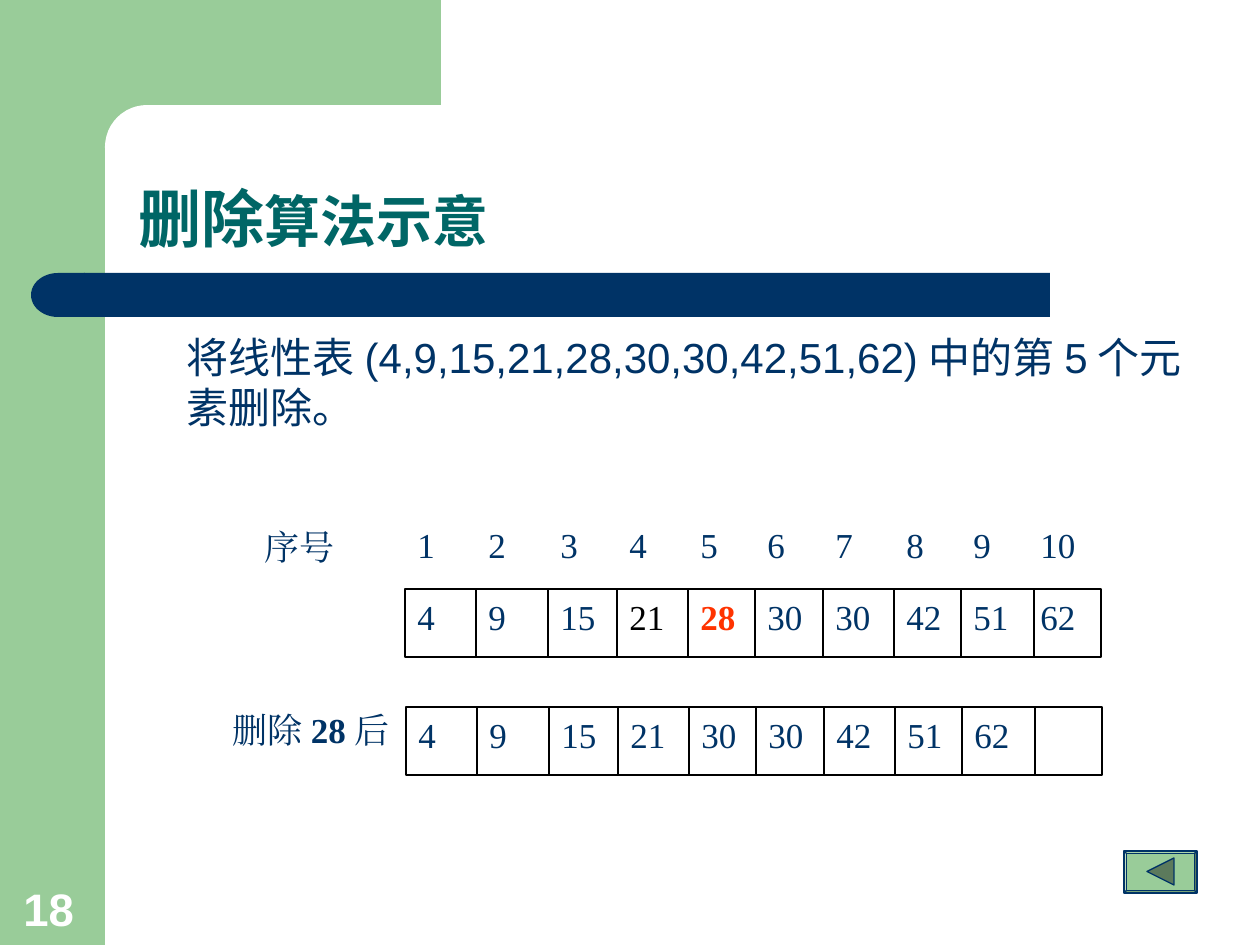
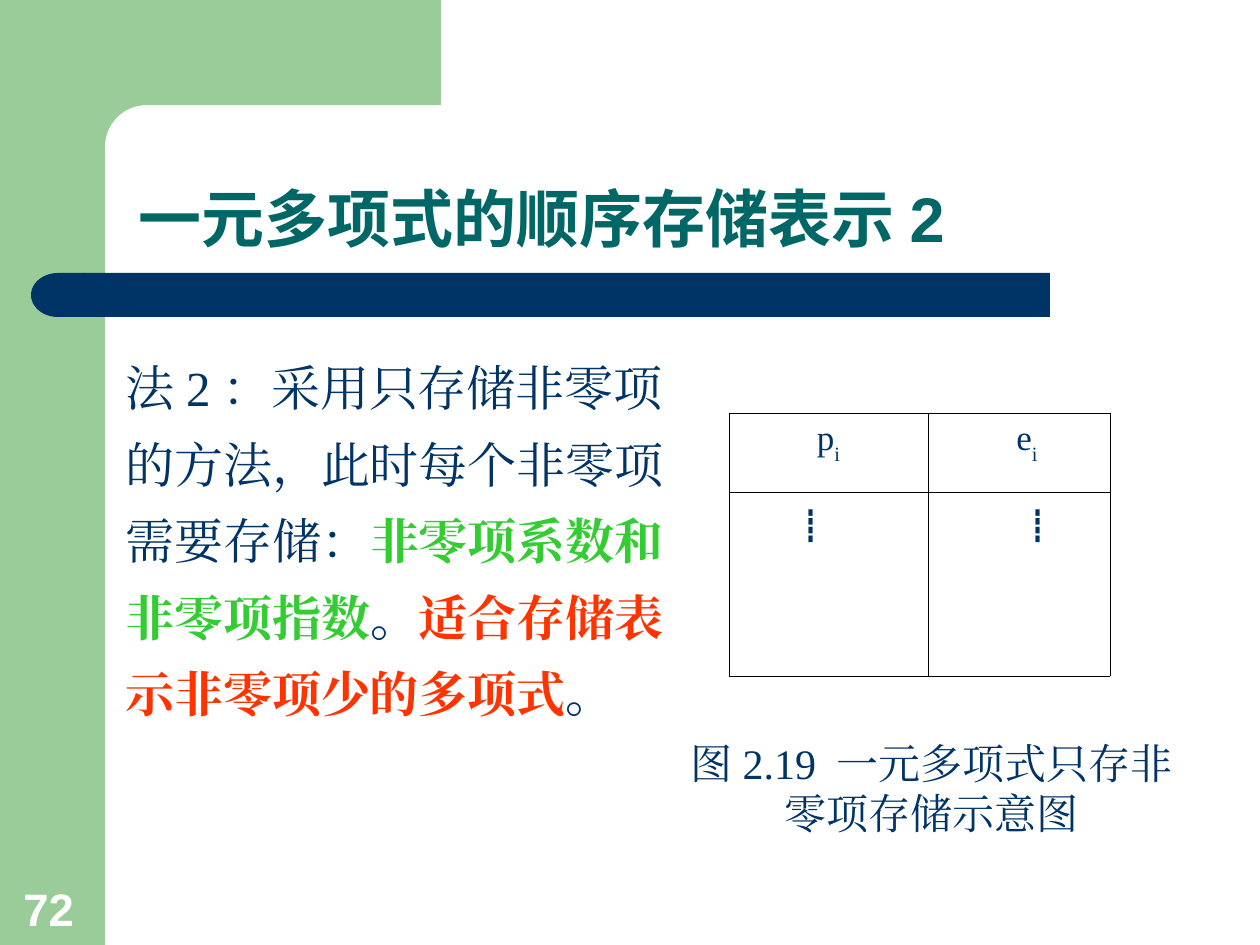
"""Builds two lecture slides on sequential lists: deletion and sparse polynomials."""
import lxml.etree
import pptx
import pptx.dml.color
import pptx.enum.shapes
import pptx.enum.text
import pptx.oxml.ns
import pptx.util

SCALE = 914400 / 126
GREEN = pptx.dml.color.RGBColor(0x99, 0xCC, 0x99)
NAVY = pptx.dml.color.RGBColor(0x00, 0x33, 0x66)
TEAL = pptx.dml.color.RGBColor(0x00, 0x66, 0x66)
RED = pptx.dml.color.RGBColor(0xFF, 0x33, 0x00)
LIME = pptx.dml.color.RGBColor(0x33, 0xCC, 0x33)
MOSS = pptx.dml.color.RGBColor(0x5C, 0x7A, 0x5C)
BLACK = pptx.dml.color.RGBColor(0x00, 0x00, 0x00)
WHITE = pptx.dml.color.RGBColor(0xFF, 0xFF, 0xFF)
SANS, CHINESE, SERIF = "Arial", "Noto Sans CJK SC", "Times New Roman"
SHAPES = pptx.enum.shapes.MSO_SHAPE
ALIGN = pptx.enum.text.PP_ALIGN
ANCHOR = pptx.enum.text.MSO_ANCHOR
qn = pptx.oxml.ns.qn


def add_shape(slide, kind, box, fill=None, line=None):
    """Add a preset shape, or a text box when kind is None, ready for left-aligned text."""
    lengths = [round(length * SCALE) for length in box]
    if kind is None:
        shape = slide.shapes.add_textbox(*lengths)
    else:
        shape = slide.shapes.add_shape(kind, *lengths)
        shape.shadow.inherit = False
        shape.fill.solid()
        shape.fill.fore_color.rgb = fill
        if line is None:
            shape.line.fill.background()
        else:
            shape.line.color.rgb = line
            shape.line.width = pptx.util.Pt(0.75)
    shape.text_frame.word_wrap = True
    shape.text_frame.vertical_anchor = ANCHOR.TOP
    shape.text_frame.paragraphs[0].alignment = ALIGN.LEFT
    return shape


def add_run(paragraph, text, size, name, color=NAVY, bold=False):
    """Add one run, using the same typeface for Latin and Chinese text."""
    run = paragraph.add_run()
    run.text = text
    run.font.size = pptx.util.Pt(size)
    run.font.bold = bold
    run.font.color.rgb = color
    run.font.name = name
    lxml.etree.SubElement(run.font._element, qn("a:ea"), typeface=name)
    return run


presentation = pptx.Presentation()
presentation.slide_width = round(1260 * SCALE)
presentation.slide_height = round(945 * SCALE)
deletion = presentation.slides.add_slide(presentation.slide_layouts[1])
polynomial = presentation.slides.add_slide(presentation.slide_layouts[5])

master_tree = presentation.slide_master.shapes.element
frame = (
    (SHAPES.RECTANGLE, (0, 0, 105, 945), GREEN),
    (SHAPES.RECTANGLE, (95, 0, 346, 147), GREEN),
    (SHAPES.ROUNDED_RECTANGLE, (105, 105, 703, 84), WHITE),
    (SHAPES.RECTANGLE, (84, 273, 966, 44), NAVY),
    (SHAPES.FLOWCHART_DELAY, (31, 273, 54, 44), NAVY),
)
for index, (kind, box, color) in enumerate(frame):
    part = add_shape(deletion, kind, box, color)
    if kind == SHAPES.ROUNDED_RECTANGLE:
        part.adjustments[0] = 0.5
    if kind == SHAPES.FLOWCHART_DELAY:
        part.rotation = 180
    part.element.nvSpPr.cNvPr.set("id", str(20 + index))
    master_tree.insert(2 + index, part.element)

headings = (
    (deletion, "18", (("删除", 36, CHINESE), ("算法示意", 32, SANS))),
    (polynomial, "72", (("一元多项式的顺序存储表示2", 36, SANS),)),
)
for slide, number, parts in headings:
    title = slide.shapes.title
    title.left, title.top, title.width, title.height = [
        round(length * SCALE) for length in (126, 105, 1103, 157)]
    title.text_frame.vertical_anchor = ANCHOR.BOTTOM
    paragraph = title.text_frame.paragraphs[0]
    paragraph.alignment = ALIGN.LEFT
    paragraph.line_spacing = 0.9
    for text, size, name in parts:
        add_run(paragraph, text, size, name, TEAL, True)
    page = add_shape(slide, None, (11, 874, 81, 68))
    page.text_frame.vertical_anchor = ANCHOR.BOTTOM
    add_run(page.text_frame.paragraphs[0], number, 26, SANS, WHITE, True)

body = deletion.placeholders[1]
body.left, body.top, body.width, body.height = [
    round(length * SCALE) for length in (126, 325, 1103, 514)]
paragraph = body.text_frame.paragraphs[0]
properties = paragraph._p.get_or_add_pPr()
properties.set("marL", str(round(48 * SCALE)))
properties.set("indent", "0")
lxml.etree.SubElement(properties, qn("a:buNone"))
paragraph.space_before = pptx.util.Pt(0)
for text, name in (("将线性表", CHINESE), ("(4,9,15,21,28,30,30,42,51,62)中的", SANS),
                   ("第", CHINESE), ("5", SANS), ("个元素删除。", CHINESE)):
    add_run(paragraph, text, 24, name)

index_label = add_shape(deletion, None, (252, 519, 107, 77))
add_run(index_label.text_frame.paragraphs[0], "序号", 20, SERIF)
columns = (
    (405, "1", "4", "4"), (476, "2", "9", "9"), (548, "3", "15", "15"),
    (617, "4", "21", "21"), (688, "5", "28", "30"), (755, "6", "30", "30"),
    (823, "7", "30", "42"), (894, "8", "42", "51"), (1028, "10", "62", ""),
    (961, "9", "51", "62"),
)
before_colors = {"21": BLACK, "28": RED}
for left, position, before, after in columns:
    heading = add_shape(deletion, None, (left, 517, 73, 68))
    add_run(heading.text_frame.paragraphs[0], position, 20, SERIF)
    cell = add_shape(deletion, SHAPES.RECTANGLE, (left, 589, 73, 68), WHITE, BLACK)
    add_run(cell.text_frame.paragraphs[0], before, 20, SERIF,
            before_colors.get(before, NAVY), before == "28")
    cell = add_shape(deletion, SHAPES.RECTANGLE, (left + 1, 707, 73, 68), WHITE, BLACK)
    if after:
        add_run(cell.text_frame.paragraphs[0], after, 20, SERIF)
after_label = add_shape(deletion, None, (220, 702, 194, 76))
for text, bold in (("删除", False), ("28", True), ("后", False)):
    add_run(after_label.text_frame.paragraphs[0], text, 20, SERIF, NAVY, bold)

back_button = add_shape(deletion, SHAPES.BEVEL, (1124, 851, 73, 42), GREEN, NAVY)
back_button.adjustments[0] = 0.06
back_arrow = add_shape(deletion, SHAPES.ISOSCELES_TRIANGLE, (1147, 858, 27, 27), MOSS, NAVY)
back_arrow.rotation = 270

table_shape = polynomial.shapes.add_table(
    2, 2, *[round(length * SCALE) for length in (729, 413, 381, 263)])
table = table_shape.table
table.first_row = table.horz_banding = False
for column, width in zip(table.columns, (199, 182)):
    column.width = round(width * SCALE)
for row, height in zip(table.rows, (79, 184)):
    row.height = round(height * SCALE)
cells = (
    (0, 0, "p", "i", ALIGN.CENTER, 0), (0, 1, "e", "i", ALIGN.CENTER, 16),
    (1, 0, "┋", "", ALIGN.LEFT, 52), (1, 1, "┋", "", ALIGN.CENTER, 38),
)
for row, column, symbol, subscript, alignment, margin in cells:
    cell = table.cell(row, column)
    properties = cell._tc.get_or_add_tcPr()
    for side in ("a:lnL", "a:lnR", "a:lnT", "a:lnB"):
        border = lxml.etree.SubElement(properties, qn(side), w="5715")
        border_fill = lxml.etree.SubElement(border, qn("a:solidFill"))
        lxml.etree.SubElement(border_fill, qn("a:srgbClr"), val=str(BLACK))
    cell.fill.background()
    paragraph = cell.text_frame.paragraphs[0]
    paragraph.alignment = alignment
    paragraph._p.get_or_add_pPr().set("marL", str(round(margin * SCALE)))
    add_run(paragraph, symbol, 20, SERIF if subscript else CHINESE)
    if subscript:
        run = add_run(paragraph, subscript, 20, SERIF)
        run.font._element.set("baseline", "-30000")

caption = add_shape(polynomial, None, (669, 731, 525, 113))
paragraph = caption.text_frame.paragraphs[0]
paragraph.alignment = ALIGN.CENTER
add_run(paragraph, "图2.19 一元多项式只存非零项存储示意图", 24, SERIF)

method = add_shape(polynomial, None, (113, 334, 566, 396))
paragraph = method.text_frame.paragraphs[0]
paragraph.line_spacing = 1.3
for text, color, bold in (
    ("法2：采用只存储非零项的方法，此时每个非零项需要存储：", NAVY, False),
    ("非零项系数和非零项指数", LIME, True), ("。", NAVY, True),
    ("适合存储表示非零项少的多项式", RED, True), ("。", NAVY, True),
):
    add_run(paragraph, text, 28, SERIF, color, bold)

presentation.save("out.pptx")
